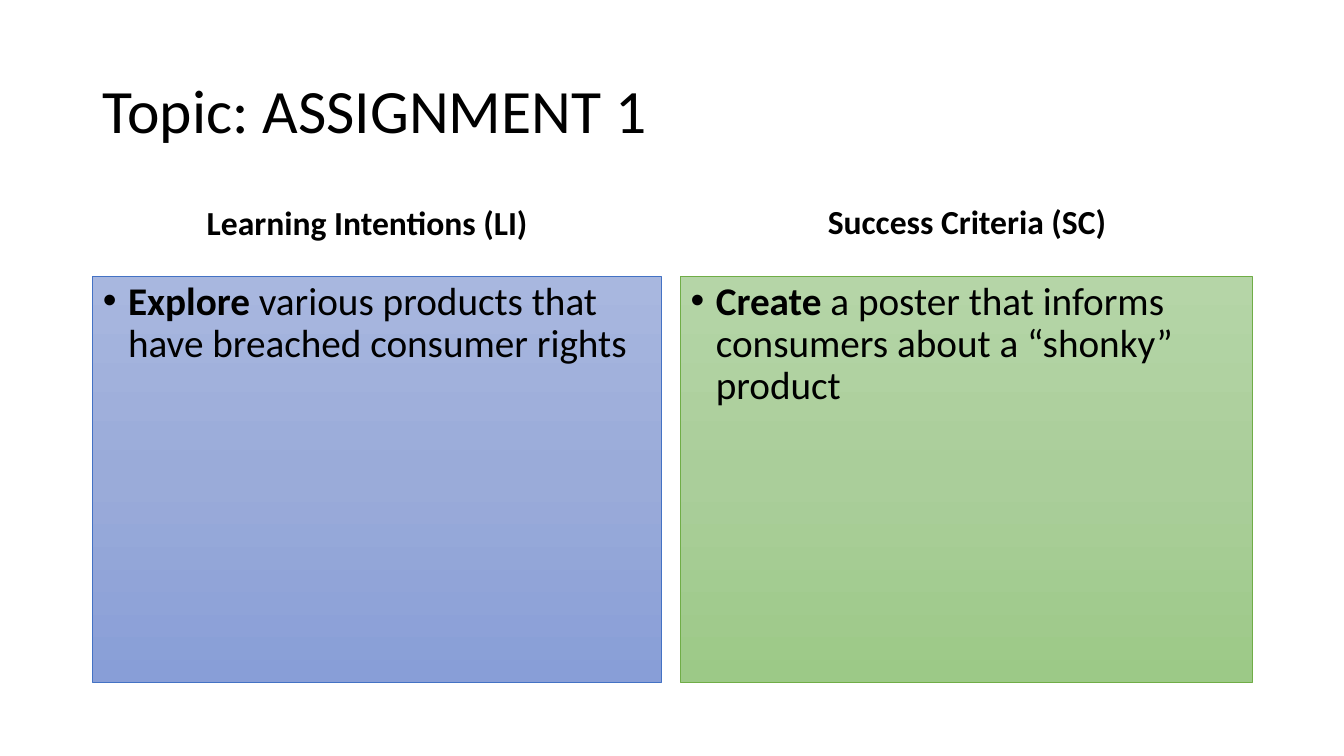
from copy import deepcopy

from lxml import etree
from pptx import Presentation
from pptx.dml.color import RGBColor
from pptx.enum.text import MSO_ANCHOR, MSO_AUTO_SIZE, PP_ALIGN
from pptx.oxml.ns import qn
from pptx.util import Pt

PX = 9144
COMPARISON_LAYOUT = 4
TOP, MIDDLE, BOTTOM = MSO_ANCHOR.TOP, MSO_ANCHOR.MIDDLE, MSO_ANCHOR.BOTTOM
LEFT = PP_ALIGN.LEFT
NO_FIT = MSO_AUTO_SIZE.NONE
FONT = "Calibri"
BULLET_INDENT = 25

COLOURS = {
    "text": "000000",
    "blue_line": "4472C4",
    "blue_top": "A8B7DF",
    "blue_middle": "9AABD9",
    "blue_bottom": "889ED7",
    "green_line": "70AD47",
    "green_top": "B5D5A7",
    "green_middle": "AACE9A",
    "green_bottom": "9CC987",
}


def colour(name):
    return RGBColor.from_string(COLOURS[name])


def place(shape, box):
    shape.left, shape.top, shape.width, shape.height = (length * PX for length in box)


def write(shape, box, spans, size, anchor, bullet=False):
    place(shape, box)
    frame = shape.text_frame
    frame.word_wrap = True
    frame.auto_size = NO_FIT
    frame.vertical_anchor = anchor
    para = frame.paragraphs[0]
    if bullet:
        properties = para._p.get_or_add_pPr()
        properties.set("marL", str(BULLET_INDENT * PX))
        properties.set("indent", str(-BULLET_INDENT * PX))
        etree.SubElement(properties, qn("a:buFont"), typeface="Arial")
        etree.SubElement(properties, qn("a:buChar"), char="•")
    para.alignment = LEFT
    para.line_spacing = 0.9
    para.space_before = Pt(0)
    for text, bold in spans:
        span = para.add_run()
        span.text = text
        span.font.name = FONT
        span.font.size = Pt(size)
        span.font.bold = bold
        span.font.color.rgb = colour("text")


def shade(shape, hue):
    shape.fill.gradient()
    shape.fill.gradient_angle = 270
    first_stop = shape._element.spPr.find(".//" + qn("a:gs"))
    first_stop.addnext(deepcopy(first_stop))
    levels = (("top", 0), ("middle", 0.5), ("bottom", 1))
    for stop, (level, position) in zip(shape.fill.gradient_stops, levels):
        stop.position = position
        stop.color.rgb = colour(f"{hue}_{level}")
    shape.line.color.rgb = colour(f"{hue}_line")
    shape.line.width = Pt(0.5)


def add_column(heading, panel, box, heading_box, title, spans, hue):
    write(heading, heading_box, [(title, True)], 24, BOTTOM)
    write(panel, box, spans, 28, TOP, bullet=True)
    shade(panel, hue)


def add_comparison_slide(deck):
    slide = deck.slides.add_slide(deck.slide_layouts[COMPARISON_LAYOUT])
    holders = {holder.placeholder_format.idx: holder for holder in slide.placeholders}
    write(holders[0], (92, 40, 1150, 145), [("Topic: ASSIGNMENT 1", False)], 44, MIDDLE)
    add_column(
        holders[1], holders[2], (92, 274, 564, 403), (195, 156, 564, 90),
        "Learning Intentions (LI)",
        [("Explore", True), (" various products that have breached consumer rights", False)],
        "blue",
    )
    add_column(
        holders[3], holders[4], (675, 274, 567, 403), (811, 155, 520, 90),
        "Success Criteria (SC)",
        [("Create", True), (" a poster that informs consumers about a “shonky” product", False)],
        "green",
    )
    for index in (10, 11, 12):
        if index in holders:
            element = holders[index]._element
            element.getparent().remove(element)


def main():
    deck = Presentation()
    deck.slide_width = 1333 * PX
    deck.slide_height = 750 * PX
    add_comparison_slide(deck)
    deck.save("out.pptx")


if __name__ == "__main__":
    main()
